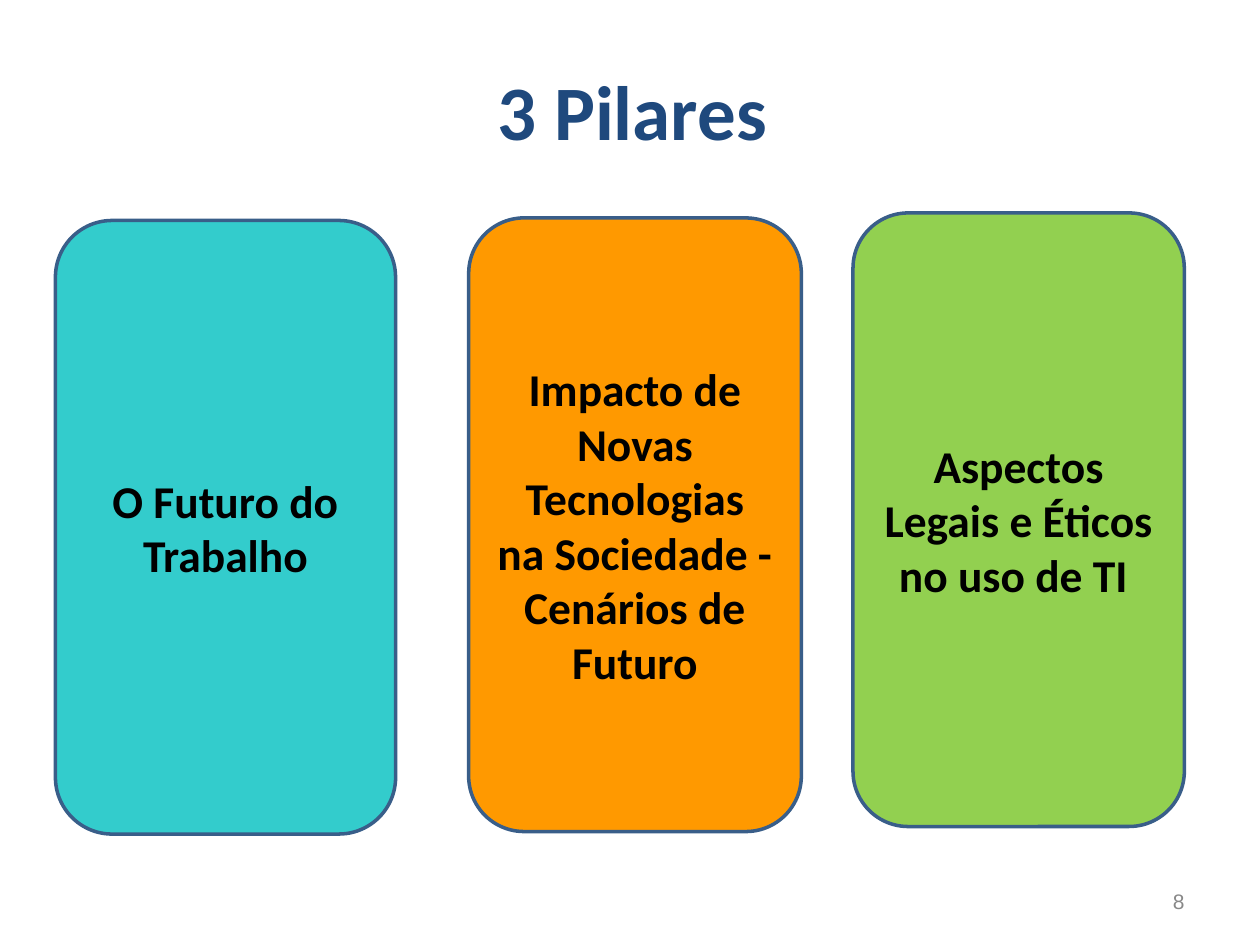
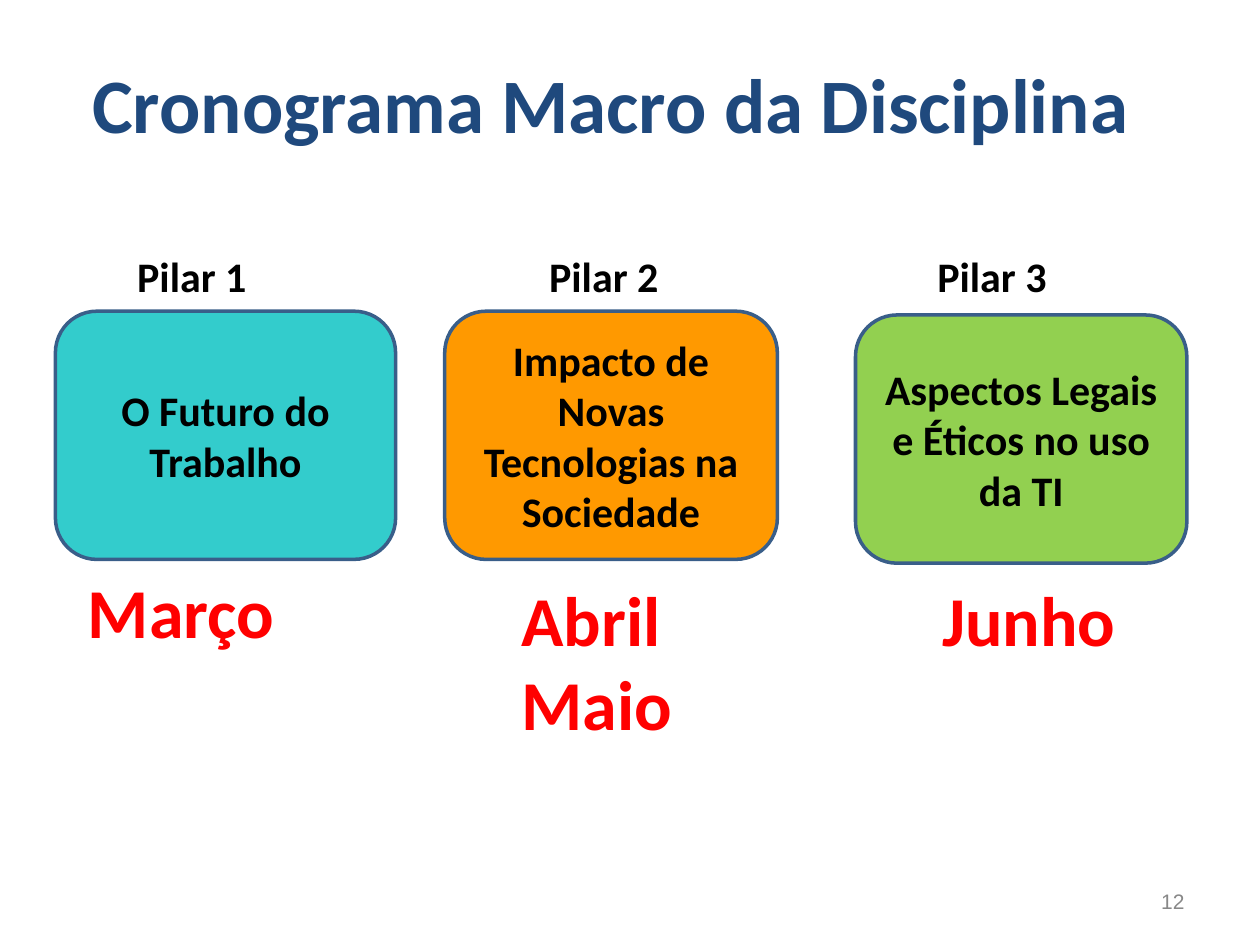
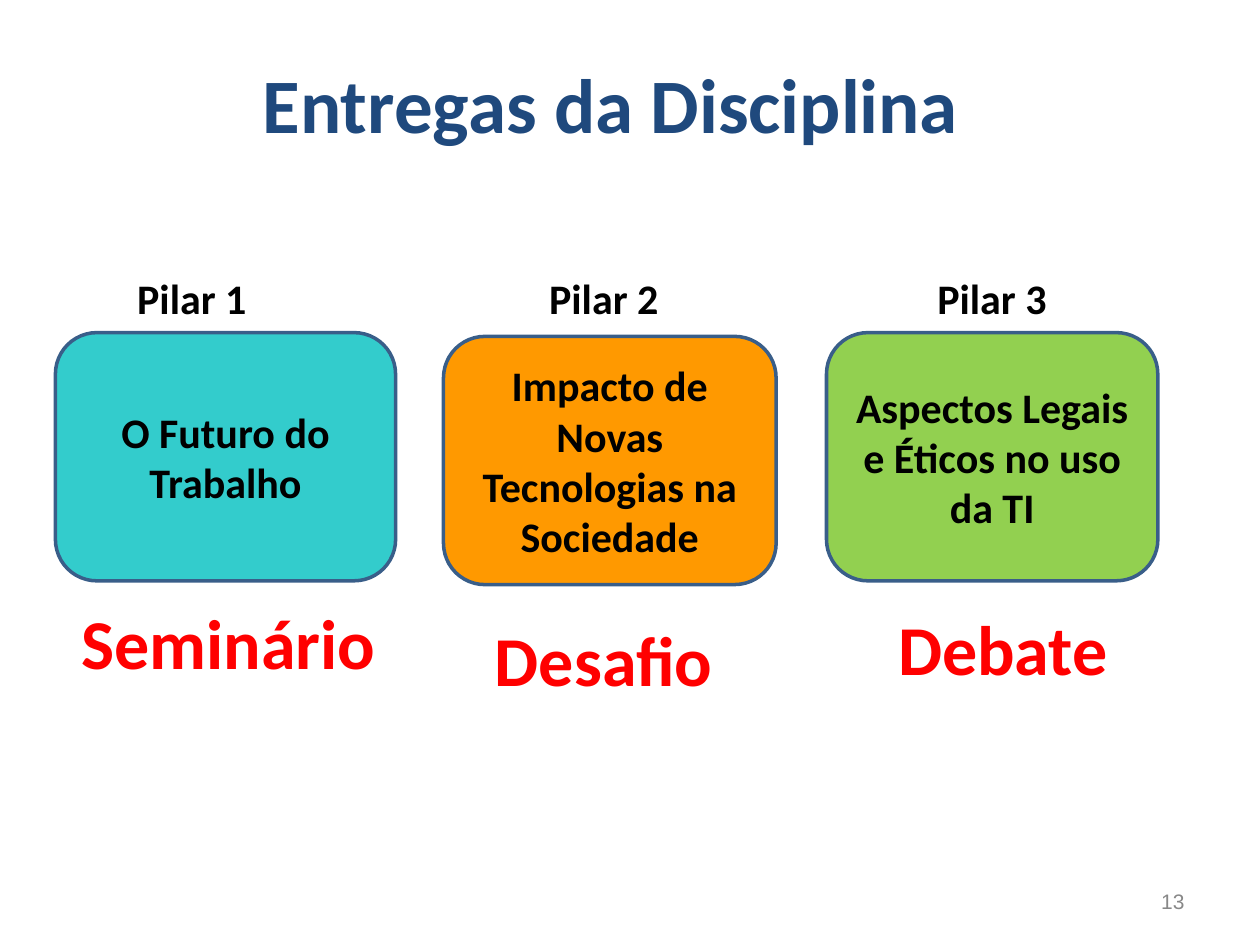
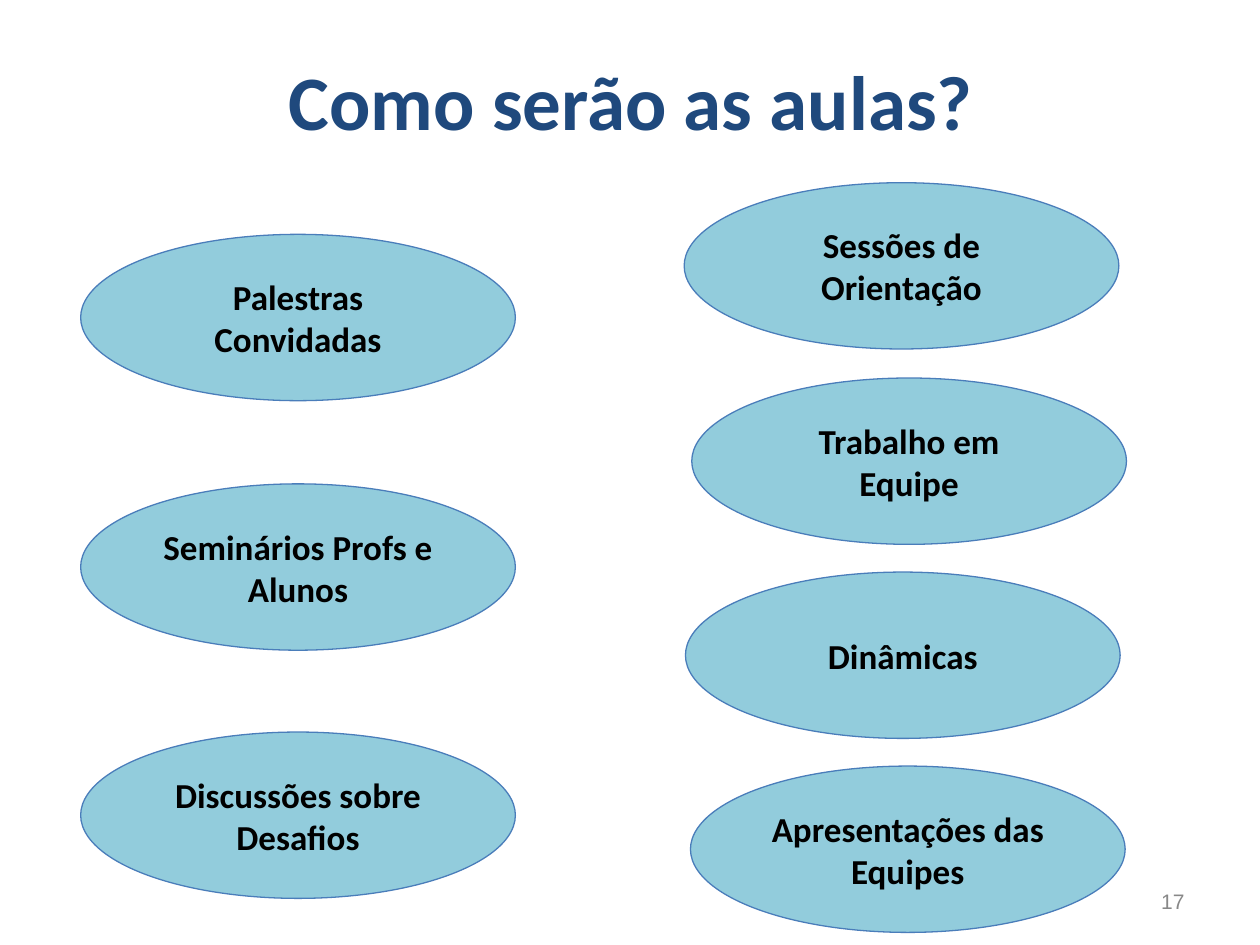
from dataclasses import dataclass

from pptx import Presentation
from pptx.dml.color import RGBColor
from pptx.enum.shapes import MSO_SHAPE as Preset
from pptx.enum.text import MSO_ANCHOR as Anchor, PP_ALIGN as Align
from pptx.util import Inches, Pt

BLACK = RGBColor(0x00, 0x00, 0x00)
NAVY = RGBColor(0x1F, 0x49, 0x7D)
RED = RGBColor(0xFF, 0x00, 0x00)
GRAY = RGBColor(0x88, 0x88, 0x88)
TURQUOISE = RGBColor(0x33, 0xCC, 0xCC)
ORANGE = RGBColor(0xFF, 0x99, 0x00)
GREEN = RGBColor(0x92, 0xD0, 0x50)
PILLAR_EDGE = RGBColor(0x39, 0x5E, 0x89)
SKY = RGBColor(0x92, 0xCC, 0xDC)
SKY_EDGE = RGBColor(0x4A, 0x7D, 0xBA)


@dataclass(frozen=True)
class Box:
    left: float
    top: float
    width: float
    height: float

    def lengths(self):
        return [Inches(n) for n in (self.left, self.top, self.width, self.height)]


@dataclass(frozen=True)
class TextStyle:
    size: int
    color: RGBColor = BLACK
    align: Align = Align.LEFT
    anchor: Anchor = Anchor.TOP
    font: str = "Calibri"
    bold: bool = True


@dataclass(frozen=True)
class Look:
    preset: Preset
    fill: RGBColor
    edge: RGBColor
    edge_width: float


@dataclass(frozen=True)
class Pillar:
    text: str
    box: Box
    look: Look


@dataclass(frozen=True)
class Caption:
    text: str
    box: Box


TITLE = TextStyle(44, NAVY, Align.CENTER, Anchor.BOTTOM)
PAGE_NUMBER = TextStyle(12, GRAY, Align.RIGHT, Anchor.MIDDLE, "Arial", False)
TALL_PILLAR = TextStyle(26, align=Align.CENTER, anchor=Anchor.MIDDLE)
SHORT_PILLAR = TextStyle(24, align=Align.CENTER, anchor=Anchor.MIDDLE)
ACTIVITY = TextStyle(20, align=Align.CENTER, anchor=Anchor.MIDDLE)
PILLAR_LABEL = TextStyle(24)
HIGHLIGHT = TextStyle(40, RED)

PAGE_BOX = Box(7.17, 6.95, 2.33, 0.4)
WIDE_TITLE_BOX = Box(0.09, -0.02, 9.52, 1.25)
LABEL_LEFTS = (0.99, 4.26, 7.34)
PILLAR_WIDTHS = (2.7, 2.64, 2.63)
PILLAR_LOOKS = [
    Look(Preset.ROUNDED_RECTANGLE, fill, PILLAR_EDGE, 2)
    for fill in (TURQUOISE, ORANGE, GREEN)
]
ACTIVITY_LOOK = Look(Preset.OVAL, SKY, SKY_EDGE, 0.75)

TALL_TEXTS = (
    "O Futuro do Trabalho",
    "Impacto de Novas Tecnologias na Sociedade - Cenários de Futuro",
    "Aspectos Legais e Éticos no uso de TI ",
)
SHORT_TEXTS = (
    "O Futuro do Trabalho",
    "Impacto de Novas Tecnologias na Sociedade",
    "Aspectos Legais e Éticos no uso da TI",
)
MONTHS = (
    Caption("Março", Box(0.6, 4.46, 3.03, 1.45)),
    Caption("Abril\nMaio", Box(4.04, 4.53, 2.7, 0.77)),
    Caption("Junho", Box(7.38, 4.53, 3.13, 1.45)),
)
DELIVERIES = (
    Caption("Seminário", Box(0.55, 4.71, 2.63, 1.45)),
    Caption("Desafio", Box(3.83, 4.84, 2.11, 0.84)),
    Caption("Debate", Box(7.03, 4.76, 2.18, 0.77)),
)
ACTIVITIES = (
    ("Palestras Convidadas", 0.64, 1.86),
    ("Seminários Profs e Alunos", 0.64, 3.84),
    ("Discussões sobre Desafios", 0.64, 5.81),
    ("Sessões de Orientação", 5.43, 1.45),
    ("Trabalho em Equipe", 5.49, 3),
    ("Dinâmicas", 5.44, 4.54),
    ("Apresentações das Equipes", 5.48, 6.08),
)


def write(frame, text: str, style: TextStyle) -> None:
    frame.word_wrap = True
    frame.vertical_anchor = style.anchor
    for index, line in enumerate(text.split("\n")):
        paragraph = frame.add_paragraph() if index else frame.paragraphs[0]
        paragraph.alignment = style.align
        run = paragraph.add_run()
        run.text = line
        run.font.name = style.font
        run.font.size = Pt(style.size)
        run.font.bold = style.bold
        run.font.color.rgb = style.color


def add_text(slide, text: str, box: Box, style: TextStyle) -> None:
    write(slide.shapes.add_textbox(*box.lengths()).text_frame, text, style)


def add_filled(slide, text: str, box: Box, look: Look, style: TextStyle) -> None:
    shape = slide.shapes.add_shape(look.preset, *box.lengths())
    shape.shadow.inherit = False
    shape.fill.solid()
    shape.fill.fore_color.rgb = look.fill
    shape.line.color.rgb = look.edge
    shape.line.width = Pt(look.edge_width)
    write(shape.text_frame, text, style)


def add_slide(deck, title: str, title_box: Box, page: int):
    slide = deck.slides.add_slide(deck.slide_layouts[6])
    add_text(slide, title, title_box, TITLE)
    add_text(slide, str(page), PAGE_BOX, PAGE_NUMBER)
    return slide


def make_pillars(texts, lefts, tops, height: float) -> list[Pillar]:
    return [
        Pillar(text, Box(left, top, width, height), look)
        for text, left, top, width, look in zip(
            texts, lefts, tops, PILLAR_WIDTHS, PILLAR_LOOKS
        )
    ]


def add_pillars(slide, pillars: list[Pillar], style: TextStyle) -> None:
    for pillar in pillars:
        add_filled(slide, pillar.text, pillar.box, pillar.look, style)


def add_captioned_pillars(slide, lefts, tops, label_top: float, captions) -> None:
    add_pillars(slide, make_pillars(SHORT_TEXTS, lefts, tops, 1.97), SHORT_PILLAR)
    for number, left in enumerate(LABEL_LEFTS, 1):
        label_box = Box(left, label_top, 1.08, 0.5)
        add_text(slide, f"Pilar {number}", label_box, PILLAR_LABEL)
    for caption in captions:
        add_text(slide, caption.text, caption.box, HIGHLIGHT)


def main() -> None:
    deck = Presentation()
    deck.slide_width = Inches(10)
    deck.slide_height = Inches(7.5)

    pillars = add_slide(deck, "3 Pilares", Box(0.99, 0.04, 8.06, 1.25), 8)
    tall = make_pillars(TALL_TEXTS, (0.44, 3.72, 6.77), (1.75, 1.73, 1.69), 4.87)
    add_pillars(pillars, tall, TALL_PILLAR)

    schedule = add_slide(deck, "Cronograma Macro da Disciplina", WIDE_TITLE_BOX, 12)
    add_captioned_pillars(
        schedule, (0.44, 3.53, 6.79), (2.47, 2.47, 2.5), 1.94, MONTHS
    )

    deliveries = add_slide(deck, "Entregas da Disciplina", WIDE_TITLE_BOX, 13)
    add_captioned_pillars(
        deliveries, (0.44, 3.52, 6.56), (2.64, 2.67, 2.64), 2.11, DELIVERIES
    )

    classes = add_slide(deck, "Como serão as aulas?", Box(0.98, -0.04, 8.06, 1.25), 17)
    for text, left, top in ACTIVITIES:
        add_filled(classes, text, Box(left, top, 3.45, 1.32), ACTIVITY_LOOK, ACTIVITY)

    deck.save("out.pptx")


if __name__ == "__main__":
    main()
